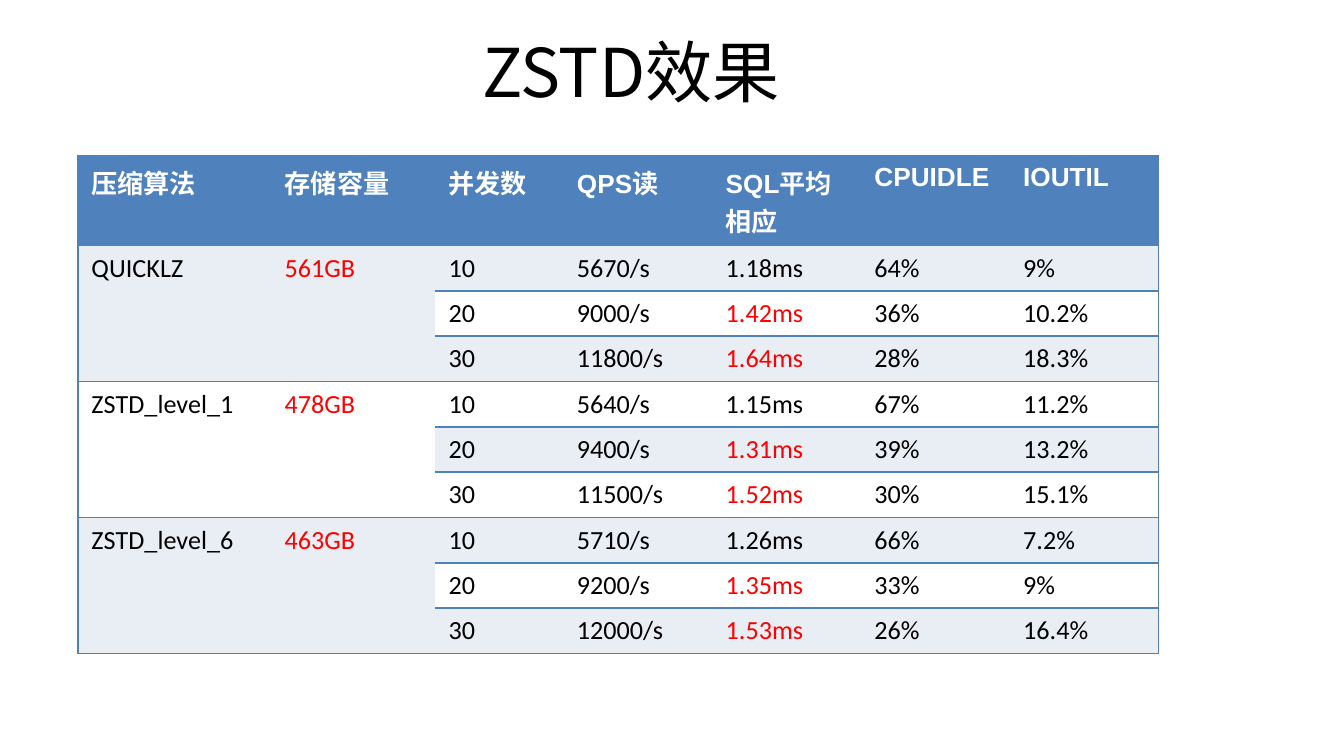
import pptx
import pptx.dml.color
import pptx.enum.text
import pptx.oxml.ns
import pptx.util
from lxml import etree

Pt = pptx.util.Pt

TITLE = "ZSTD效果"
HEADER = ["压缩算法", "存储容量", "并发数", "QPS读", "SQL平均相应", "CPUIDLE", "IOUTIL"]
GROUPS = [
    ("QUICKLZ", "561GB", [
        ("10", "5670/s", "1.18ms", "64%", "9%"),
        ("20", "9000/s", "1.42ms", "36%", "10.2%"),
        ("30", "11800/s", "1.64ms", "28%", "18.3%"),
    ]),
    ("ZSTD_level_1", "478GB", [
        ("10", "5640/s", "1.15ms", "67%", "11.2%"),
        ("20", "9400/s", "1.31ms", "39%", "13.2%"),
        ("30", "11500/s", "1.52ms", "30%", "15.1%"),
    ]),
    ("ZSTD_level_6", "463GB", [
        ("10", "5710/s", "1.26ms", "66%", "7.2%"),
        ("20", "9200/s", "1.35ms", "33%", "9%"),
        ("30", "12000/s", "1.53ms", "26%", "16.4%"),
    ]),
]
COL_WIDTHS = [103.5, 87.8, 68.8, 79.7, 79.7, 79.7, 79.7]
HEADER_HEIGHT, ROW_HEIGHT = 48, 24.3
GROUP_SIZE = 3
SIZE_COL, TIME_COL = 1, 4
BLUE, RED, BLACK, WHITE = "4F81BD", "FF0000", "000000", "FFFFFF"
BANDS = ["E9EDF4", WHITE]
CJK = "Noto Sans CJK SC"


def rgb(value):
    return pptx.dml.color.RGBColor.from_string(value)


def set_font(p, name, size, color, bold=False):
    f = p.font
    f.name, f.size, f.bold = name, Pt(size), bold
    f.color.rgb = rgb(color)
    latin = p._p.find(".//" + pptx.oxml.ns.qn("a:latin"))
    ea = etree.Element(pptx.oxml.ns.qn("a:ea"), typeface=CJK)
    latin.addnext(ea)


def set_borders(cell, visible):
    """Draw the sides named in visible (letters of LRTB) and clear the others."""
    tc_pr = cell._tc.get_or_add_tcPr()
    for side in "LRTB":
        ln = etree.SubElement(tc_pr, pptx.oxml.ns.qn("a:ln" + side), w=str(Pt(1)))
        if side in visible:
            fill = etree.SubElement(ln, pptx.oxml.ns.qn("a:solidFill"))
            etree.SubElement(fill, pptx.oxml.ns.qn("a:srgbClr"), val=BLUE)
        else:
            etree.SubElement(ln, pptx.oxml.ns.qn("a:noFill"))


def add_title(s):
    tf = s.shapes.add_textbox(Pt(97), Pt(4), Pt(482), Pt(68)).text_frame
    tf.word_wrap = True
    tf.vertical_anchor = pptx.enum.text.MSO_ANCHOR.MIDDLE
    p = tf.paragraphs[0]
    p.text = TITLE
    p.alignment = pptx.enum.text.PP_ALIGN.CENTER
    set_font(p, CJK, 36, BLACK)


def add_results(s):
    rows = [HEADER]
    for name, size, runs in GROUPS:
        for i, run in enumerate(runs):
            rows.append([name, size, *run] if i == 0 else ["", "", *run])
    heights = [HEADER_HEIGHT] + [ROW_HEIGHT] * (len(rows) - 1)
    table = s.shapes.add_table(len(rows), len(HEADER), Pt(41.8), Pt(83.5),
                               Pt(sum(COL_WIDTHS)), Pt(sum(heights))).table
    for col, width in zip(table.columns, COL_WIDTHS):
        col.width = Pt(width)
    for row, height in zip(table.rows, heights):
        row.height = Pt(height)
    for top in range(1, len(rows), GROUP_SIZE):
        for c in (0, SIZE_COL):
            table.cell(top, c).merge(table.cell(top + GROUP_SIZE - 1, c))

    for r, row in enumerate(rows):
        for c, text in enumerate(row):
            cell = table.cell(r, c)
            group, step = divmod(r - 1, GROUP_SIZE)
            sides = "" if cell.is_spanned else "T"
            if not cell.is_spanned or step == GROUP_SIZE - 1:
                sides += "B"
            if c == 0:
                sides += "L"
            if c == len(HEADER) - 1:
                sides += "R"
            set_borders(cell, sides)
            cell.fill.solid()
            band = BANDS[(group if c <= SIZE_COL else r - 1) % 2]
            cell.fill.fore_color.rgb = rgb(band if r else BLUE)
            if cell.is_spanned:
                continue
            p = cell.text_frame.paragraphs[0]
            p.text = text
            if r == 0:
                set_font(p, "Arial", 14, WHITE, bold=True)
            else:
                red = c == SIZE_COL or (c == TIME_COL and step > 0)
                set_font(p, "Calibri", 14, RED if red else BLACK)


def main():
    prs = pptx.Presentation()
    prs.slide_width, prs.slide_height = Pt(720), Pt(405)
    s = prs.slides.add_slide(prs.slide_layouts[6])
    add_title(s)
    add_results(s)
    prs.save("out.pptx")


if __name__ == "__main__":
    main()
